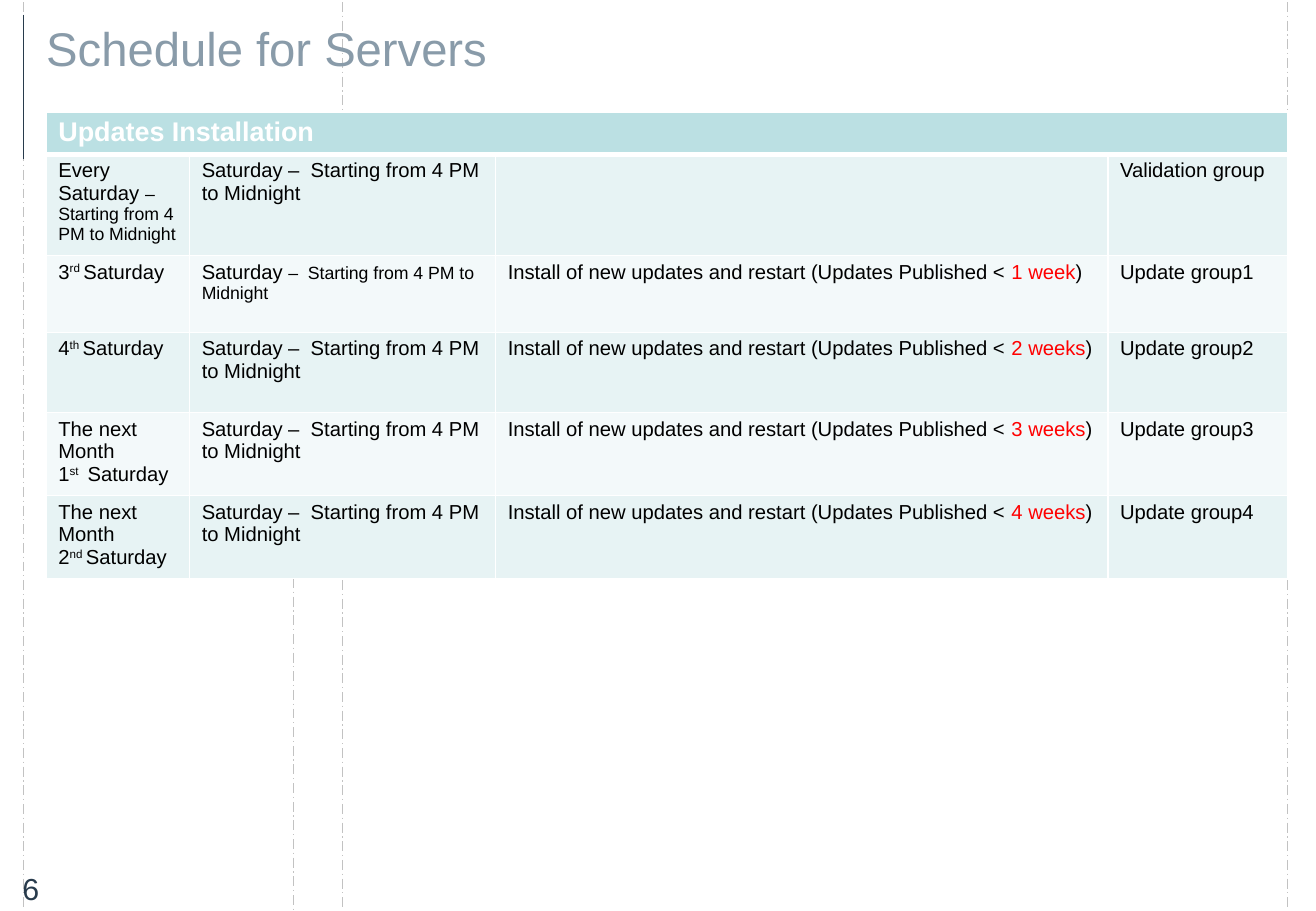
import pptx
import pptx.dml.color
import pptx.enum.dml
import pptx.enum.shapes
import pptx.enum.text
import pptx.oxml
import pptx.util
from lxml import etree

Pt = pptx.util.Pt
MAIN_NS = "http://schemas.openxmlformats.org/drawingml/2006/main"
MIDDLE = pptx.enum.text.MSO_ANCHOR.MIDDLE
LEFT = pptx.enum.text.PP_ALIGN.LEFT

BODY = {"size": 12, "color": "000000"}
SMALL = {"size": 10.5}
RAISED = {"baseline": 30000}
RED = {"color": "FF0000"}
HEADER = {"size": 16, "color": "FFFFFF", "bold": True}

COLUMN_WIDTHS = [85, 181.4, 362.9, 106.5]
ROW_HEIGHTS = [24.5, 57.8, 45.6, 47.5, 47.5, 46.8]
HEADER_FILL = "BBE0E3"
BAND_FILLS = ["E7F3F4", "F3F9FA"]

HOURS = "–  Starting from 4 PM to Midnight"
# Each cell is a list of paragraphs, each paragraph a list of (text, format) spans.
FULL_HOURS = [[("Saturday " + HOURS, {})]]
SMALL_HOURS = [[("Saturday ", {}), (HOURS, SMALL)]]


def install_after(age):
    return [[("Install of new updates and restart (Updates Published < ", {}),
             (age, RED), (")", {})]]


def saturday(number, suffix, day="Saturday"):
    return [(number, {}), (suffix + " ", RAISED), (day, {})]


SCHEDULE = [
    ([[("Every Saturday ", {}), (HOURS, SMALL)]], FULL_HOURS, [], "Validation group"),
    ([saturday("3", "rd")], SMALL_HOURS, install_after("1 week"), "Update group1"),
    ([saturday("4", "th")], FULL_HOURS, install_after("2 weeks"), "Update group2"),
    ([[("The next Month", {})], saturday("1", "st", " Saturday")],
     FULL_HOURS, install_after("3 weeks"), "Update group3"),
    ([[("The next Month", {})], saturday("2", "nd")],
     FULL_HOURS, install_after("4 weeks"), "Update group4"),
]


def rgb(value):
    return pptx.dml.color.RGBColor.from_string(value)


def set_values(target, values):
    for name, value in values.items():
        setattr(target, name, value)


def add_span(para, text, style):
    span = para.add_run()
    span.text = text
    set_values(span.font, {"name": "Arial", "size": Pt(style["size"]),
                           "bold": style.get("bold", False)})
    span.font.color.rgb = rgb(style["color"])
    if "baseline" in style:
        span.font._element.set("baseline", str(style["baseline"]))


def write_paragraphs(frame, paragraphs, base):
    for index, spans in enumerate(paragraphs):
        para = frame.add_paragraph() if index else frame.paragraphs[0]
        para.alignment = LEFT
        for text, style in spans:
            add_span(para, text, {**base, **style})


def add_label(page, box, text, style, anchor):
    label = page.shapes.add_textbox(*map(Pt, box))
    set_values(label.text_frame, {
        "word_wrap": True, "vertical_anchor": anchor, "margin_left": 0,
        "margin_right": 0, "margin_top": 0, "margin_bottom": 0})
    write_paragraphs(label.text_frame, [[(text, {})]], style)


def add_line(page, start, end, color, dash=None):
    line = page.shapes.add_connector(pptx.enum.shapes.MSO_CONNECTOR.STRAIGHT,
                                     *map(Pt, start + end))
    set_values(line.line, {"width": Pt(0.75), "dash_style": dash})
    line.line.color.rgb = rgb(color)
    etree.SubElement(line._element.spPr, f"{{{MAIN_NS}}}effectLst")


def add_guides(page, box):
    """Draw the dashed vertical guides and the solid accent at the left edge."""
    left, top, width, height = box
    dash = pptx.enum.dml.MSO_LINE.LONG_DASH_DOT
    bottom = top + height
    for x, y in [(left + 188.8, top), (left + width, top),
                 (left + 159.8, top + 120.3), (left, top)]:
        add_line(page, (x, y), (x, bottom), "C2C2C2", dash)
    add_line(page, (left, top + 7.5), (left, top + 93), "283B4C")


def set_borders(cell, top, bottom):
    properties = cell._tc.get_or_add_tcPr()
    for side, width in [("L", 1), ("R", 1), ("T", top), ("B", bottom)]:
        properties.append(pptx.oxml.parse_xml(
            f'<a:ln{side} xmlns:a="{MAIN_NS}" w="{Pt(width)}"><a:solidFill>'
            f'<a:srgbClr val="FFFFFF"/></a:solidFill></a:ln{side}>'))


def fill_cell(cell, paragraphs, base, fill, top=1, bottom=1):
    set_values(cell, {"margin_left": Pt(7.2), "margin_right": Pt(7.2),
                      "margin_top": Pt(3), "margin_bottom": Pt(3)})
    set_borders(cell, top, bottom)
    cell.fill.solid()
    cell.fill.fore_color.rgb = rgb(fill)
    write_paragraphs(cell.text_frame, paragraphs, base)


def add_schedule(page, left, top):
    frame = page.shapes.add_table(
        len(ROW_HEIGHTS), len(COLUMN_WIDTHS), Pt(left), Pt(top),
        Pt(sum(COLUMN_WIDTHS)), Pt(sum(ROW_HEIGHTS)))
    table = frame.table
    for column, width in zip(table.columns, COLUMN_WIDTHS):
        column.width = Pt(width)
    for row, height in zip(table.rows, ROW_HEIGHTS):
        row.height = Pt(height)

    for index in range(len(COLUMN_WIDTHS)):
        title = [] if index else [[("Updates Installation", {})]]
        fill_cell(table.cell(0, index), title, HEADER, HEADER_FILL, bottom=3)
    table.cell(0, 0).merge(table.cell(0, len(COLUMN_WIDTHS) - 1))

    for row, (day, hours, action, group) in enumerate(SCHEDULE, 1):
        for column, content in enumerate([day, hours, action, [[(group, {})]]]):
            fill_cell(table.cell(row, column), content, BODY,
                      BAND_FILLS[(row - 1) % 2], top=3 if row == 1 else 1)


def main():
    deck = pptx.Presentation()
    set_values(deck, {"slide_width": Pt(780), "slide_height": Pt(540)})
    page = deck.slides.add_slide(deck.slide_layouts[6])
    add_guides(page, (14, 1.2, 749.2, 538))
    add_label(page, (27.4, 11.5, 735.8, 75), "Schedule for Servers",
              {"size": 28, "color": "899BA9"}, pptx.enum.text.MSO_ANCHOR.TOP)
    add_label(page, (13.2, 516, 84, 21), "6", {"size": 18, "color": "283B4C"}, MIDDLE)
    add_schedule(page, 27.4, 66.4)
    deck.save("out.pptx")


if __name__ == "__main__":
    main()
